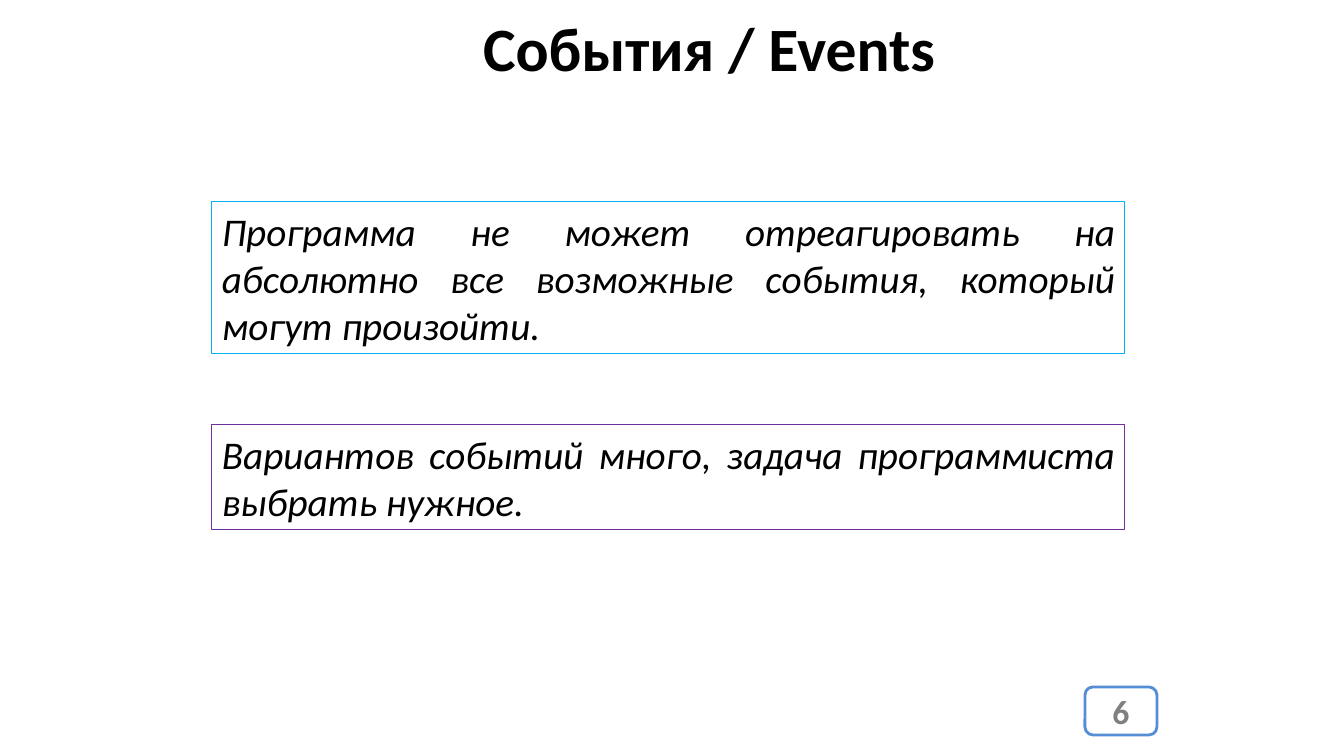
from pptx import Presentation
from pptx.dml.color import RGBColor
from pptx.enum.shapes import MSO_SHAPE
from pptx.enum.text import MSO_ANCHOR, MSO_AUTO_SIZE, PP_ALIGN
from pptx.util import Pt

RECT, ROUNDED = MSO_SHAPE.RECTANGLE, MSO_SHAPE.ROUNDED_RECTANGLE
TOP, MIDDLE = MSO_ANCHOR.TOP, MSO_ANCHOR.MIDDLE
LEFT, CENTER, JUSTIFY = PP_ALIGN.LEFT, PP_ALIGN.CENTER, PP_ALIGN.JUSTIFY
NO_AUTOFIT = MSO_AUTO_SIZE.NONE

THEME = {
    "font": "Calibri",
    "title": 44, "body": 28, "number": 24,
    "text": "000000", "grey": "808080", "white": "FFFFFF",
    "blue": "558ED5", "cyan": "00B0F0", "purple": "7030A0",
}
PX = 9071.43  # EMU per px, at 100.8 px to the inch


def px(*lengths):
    return [round(n * PX) for n in lengths]


def write(sp, text, size, color, align, anchor, bold=False, italic=False):
    tf = sp.text_frame
    tf.text = text
    tf.auto_size = NO_AUTOFIT
    tf.vertical_anchor = anchor
    tf.word_wrap = True
    p = tf.paragraphs[0]
    p.alignment = align
    p.font.name = THEME["font"]
    p.font.size = Pt(THEME[size])
    p.font.bold, p.font.italic = bold, italic
    p.font.color.rgb = RGBColor.from_string(THEME[color])


prs = Presentation()
prs.slide_width, prs.slide_height = px(1344, 756)
s = prs.slides.add_slide(prs.slide_layouts[5])

# Title
title = s.shapes.title
title.left, title.top, title.width, title.height = px(473, 5, 477, 85)
write(title, "События / Events", "title", "text", LEFT, TOP, bold=True)
title.text_frame.word_wrap = False

# Outlined statements
statements = [
    (202, 152, "cyan", "Программа не может отреагировать на абсолютно все "
                       "возможные события, который могут произойти."),
    (425, 105, "purple", "Вариантов событий много, задача программиста "
                         "выбрать нужное."),
]
for top, height, color, text in statements:
    sp = s.shapes.add_shape(RECT, *px(212, top, 913, height))
    sp.shadow.inherit = False
    sp.fill.background()
    sp.line.color.rgb = RGBColor.from_string(THEME[color])
    sp.line.width = Pt(0.75)
    write(sp, text, "body", "text", JUSTIFY, TOP, italic=True)

# Slide number badge
badge = s.shapes.add_shape(ROUNDED, *px(1085, 687, 72, 48))
badge.shadow.inherit = False
badge.fill.solid()
badge.fill.fore_color.rgb = RGBColor.from_string(THEME["white"])
badge.line.color.rgb = RGBColor.from_string(THEME["blue"])
badge.line.width = Pt(2)
write(badge, "6", "number", "grey", CENTER, MIDDLE, bold=True)

prs.save("out.pptx")
